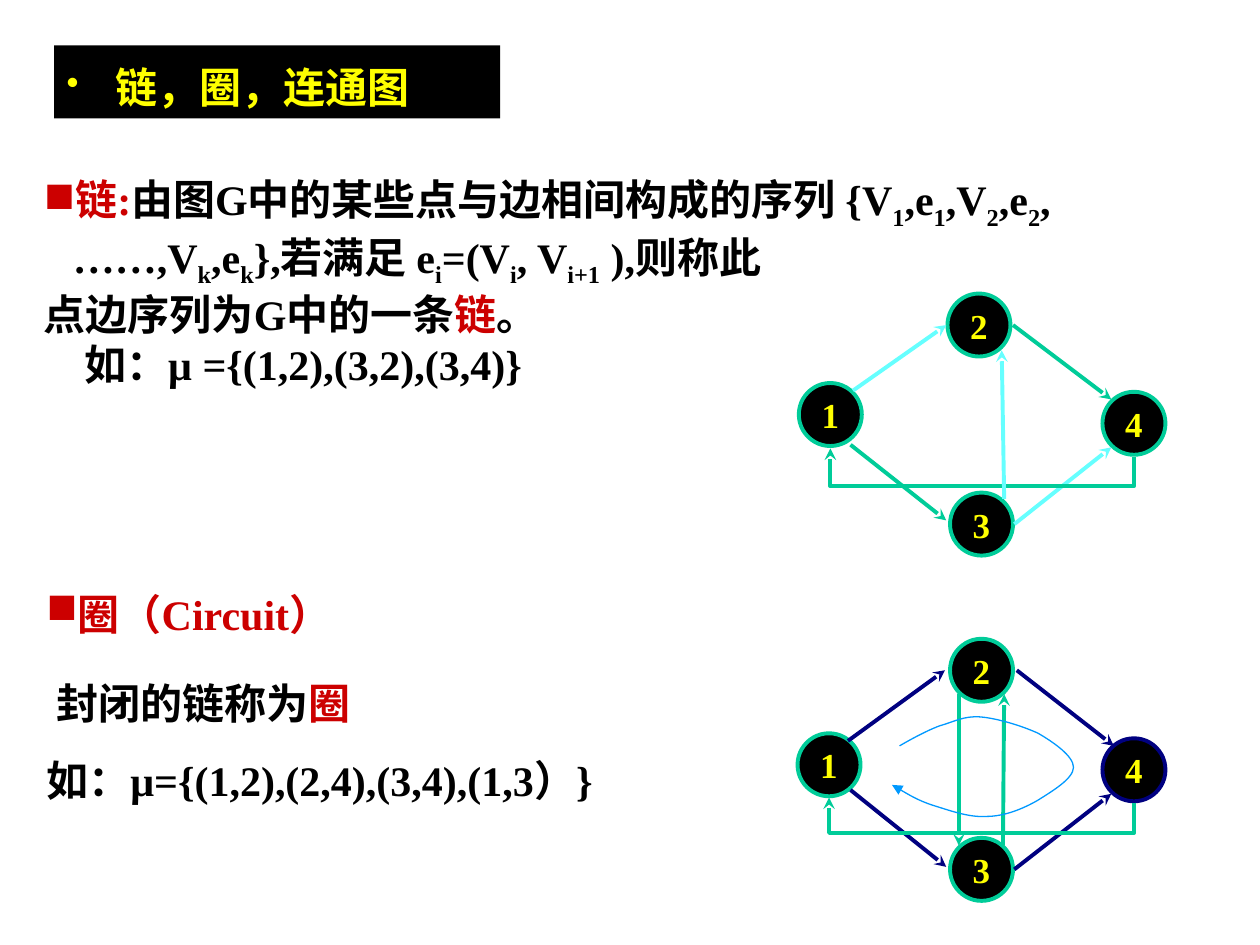
import pptx
import pptx.dml.color
import pptx.enum.shapes
import pptx.enum.text
import pptx.oxml.ns
import pptx.oxml.xmlchemy
import pptx.util

PX = 9144
BLACK, RED, YELLOW = "000000", "CC0000", "FFFF00"
GREEN, CYAN, NAVY, BLUE = "00CC99", "66FFFF", "000080", "0099FF"


def px(length):
    return pptx.util.Emu(round(length * PX))


def rgb(value):
    return pptx.dml.color.RGBColor.from_string(value)


def add_xml(parent, tag, **attributes):
    element = pptx.oxml.xmlchemy.OxmlElement(tag)
    for name, value in attributes.items():
        element.set(name, str(value))
    parent.append(element)
    return element


def write(paragraph, text, color=BLACK, size=24, font="Times New Roman"):
    for position, part in enumerate(text.split("|")):
        run = paragraph.add_run()
        run.text = part
        run.font.name = font
        run.font.size = pptx.util.Pt(size)
        run.font.bold = True
        run.font.color.rgb = rgb(color)
        if position % 2:
            run.font._element.set("baseline", "-25000")


class GraphSlide:
    """Draws the text and graph parts of one slide in a shared style."""

    stroke = 2.25
    node_size = 50

    def __init__(self, slide):
        self.slide = slide
        self.shapes = slide.shapes

    def line_style(self, shape, color, width, head=None):
        shape.line.color.rgb = rgb(color)
        shape.line.width = pptx.util.Pt(width)
        if head:
            add_xml(shape.line._get_or_add_ln(), "a:tailEnd", type=head)

    def fill_text(self, frame, paragraphs):
        frame.word_wrap = True
        frame.vertical_anchor = pptx.enum.text.MSO_ANCHOR.TOP
        for index, content in enumerate(paragraphs):
            paragraph = frame.paragraphs[0] if index == 0 else frame.add_paragraph()
            paragraph.alignment = pptx.enum.text.PP_ALIGN.LEFT
            properties = paragraph._p.get_or_add_pPr()
            indent = content.get("indent", 0)
            properties.set("marL", str(px(indent)))
            properties.set("indent", "0")
            if "bullet" in content:
                properties.set("indent", str(-px(indent)))
                mark, color, percent = content["bullet"]
                add_xml(add_xml(properties, "a:buClr"), "a:srgbClr", val=color)
                add_xml(properties, "a:buSzPct", val=percent * 1000)
                add_xml(properties, "a:buChar", char=mark)
            if "spacing" in content:
                paragraph.line_spacing = content["spacing"]
            if "before" in content:
                paragraph.space_before = pptx.util.Pt(content["before"])
            for text, color in content["runs"]:
                write(paragraph, text, color=color)

    def text(self, left, top, width, height, paragraphs):
        box = self.shapes.add_textbox(px(left), px(top), px(width), px(height))
        self.fill_text(box.text_frame, paragraphs)

    def shape(self, kind, left, top, width, height):
        shape = self.shapes.add_shape(kind, px(left), px(top), px(width), px(height))
        shape.shadow.inherit = False
        shape.fill.solid()
        shape.fill.fore_color.rgb = rgb(BLACK)
        return shape

    def banner(self, left, top, width, height, paragraphs):
        banner = self.shape(pptx.enum.shapes.MSO_SHAPE.RECTANGLE, left, top, width, height)
        banner.line.fill.background()
        self.fill_text(banner.text_frame, paragraphs)

    def node(self, label, left, top, color):
        node = self.shape(pptx.enum.shapes.MSO_SHAPE.OVAL, left, top,
                          self.node_size, self.node_size)
        self.line_style(node, color, self.stroke)
        node.text_frame.word_wrap = False
        node.text_frame.vertical_anchor = pptx.enum.text.MSO_ANCHOR.MIDDLE
        paragraph = node.text_frame.paragraphs[0]
        paragraph.alignment = pptx.enum.text.PP_ALIGN.CENTER
        write(paragraph, label, color=YELLOW, size=20)

    def arrow(self, start, end, color, kind=pptx.enum.shapes.MSO_CONNECTOR.STRAIGHT):
        arrow = self.shapes.add_connector(kind, *map(px, start + end))
        self.line_style(arrow, color, self.stroke, "stealth")
        add_xml(arrow._element.spPr, "a:effectLst")
        return arrow

    def return_arrow(self, start, end, low, color):
        rise, span = start[1] - end[1], start[0] - end[0]
        middle_x, middle_y = (start[0] + end[0]) / 2, (start[1] + end[1]) / 2
        arrow = self.arrow((middle_x - rise / 2, middle_y + span / 2),
                           (middle_x + rise / 2, middle_y - span / 2),
                           color, pptx.enum.shapes.MSO_CONNECTOR.ELBOW)
        properties = arrow._element.spPr
        properties.find(pptx.oxml.ns.qn("a:xfrm")).set("rot", "16200000")
        guides = properties.find(pptx.oxml.ns.qn("a:prstGeom")).get_or_add_avLst()
        bend = round((start[1] - low) / rise * 100000)
        add_xml(guides, "a:gd", name="adj1", fmla=f"val {bend}")

    def curve(self, points, color, width):
        builder = self.shapes.build_freeform(*points[0], scale=PX)
        builder.add_line_segments(points[1:], close=False)
        curve = builder.convert_to_shape()
        curve.shadow.inherit = False
        curve.fill.background()
        self.line_style(curve, color, width, "triangle")
        outline = next(curve._element.iter(pptx.oxml.ns.qn("a:path")))
        steps = outline.findall(pptx.oxml.ns.qn("a:lnTo"))
        for first in range(0, len(steps), 3):
            bezier = add_xml(outline, "a:cubicBezTo")
            for step in steps[first:first + 3]:
                bezier.append(step[0])
                outline.remove(step)

    def graph(self, nodes, edges):
        for node in nodes:
            self.node(*node)
        for edge in edges:
            self.arrow(*edge)


def main():
    deck = pptx.Presentation()
    deck.slide_width, deck.slide_height = px(1000), px(750)
    page = GraphSlide(deck.slides.add_slide(deck.slide_layouts[6]))
    square = ("■", RED, 100)

    page.text(27, 462, 567, 243, [
        {"bullet": square, "indent": 23, "runs": [("圈（Circuit）", RED)]},
        {"indent": 8, "spacing": 1.25, "before": 15,
         "runs": [("封闭的链称为", BLACK), ("圈", RED)]},
        {"before": 15, "runs": [("如：μ={(1,2),(2,4),(3,4),(1,3）}", BLACK)]},
    ])
    page.text(25, 133, 975, 181, [
        {"bullet": square, "indent": 23, "runs": [
            ("链:", RED),
            ("由图G中的某些点与边相间构成的序列 {V|1|,e|1|,V|2|,e|2|, ……,V|k|,e|k|"
             "},若满足 e|i|=(V|i|, V|i+1| ),则称此", BLACK)]},
        {"runs": [("点边序列为G中的一条", BLACK), ("链", RED), ("。", BLACK)]},
        {"indent": 32, "runs": [("如：μ ={(1,2),(3,2),(3,4)}", BLACK)]},
    ])

    page.graph(
        [("4", 875, 586, NAVY), ("2", 754, 507, GREEN),
         ("3", 754, 665, GREEN), ("1", 633, 582, GREEN)],
        [((673, 588), (750, 532), NAVY), ((807, 532), (884, 592), NAVY),
         ((675, 627), (751, 688), NAVY), ((805, 690), (882, 630), NAVY),
         ((761, 551), (761, 671), GREEN), ((796, 671), (797, 551), GREEN)])
    page.return_arrow((900, 637), (658, 633), 661, GREEN)
    page.curve([(714, 592), (719, 589), (735, 580), (746, 576),
                (757, 573), (765, 568), (778, 569), (791, 570), (811, 576), (824, 582),
                (836, 589), (852, 600), (852, 609), (852, 618), (835, 628), (824, 635),
                (812, 642), (797, 648), (783, 648), (769, 649), (753, 643), (740, 639),
                (728, 635), (715, 627), (708, 623)], BLUE, 0.75)

    page.graph(
        [("4", 875, 311, GREEN), ("2", 752, 233, GREEN),
         ("3", 754, 391, GREEN), ("1", 634, 304, GREEN)],
        [((677, 310), (751, 258), CYAN), ((804, 258), (882, 317), GREEN),
         ((675, 353), (751, 413), GREEN), ((805, 416), (882, 355), CYAN)])
    page.return_arrow((900, 363), (659, 356), 386, GREEN)
    page.arrow((797, 396), (795, 278), CYAN)

    page.banner(43, 36, 354, 58, [
        {"bullet": ("•", YELLOW, 85), "indent": 39, "spacing": 1.2,
         "runs": [("链，圈，连通图", YELLOW)]}])

    deck.save("out.pptx")


if __name__ == "__main__":
    main()
